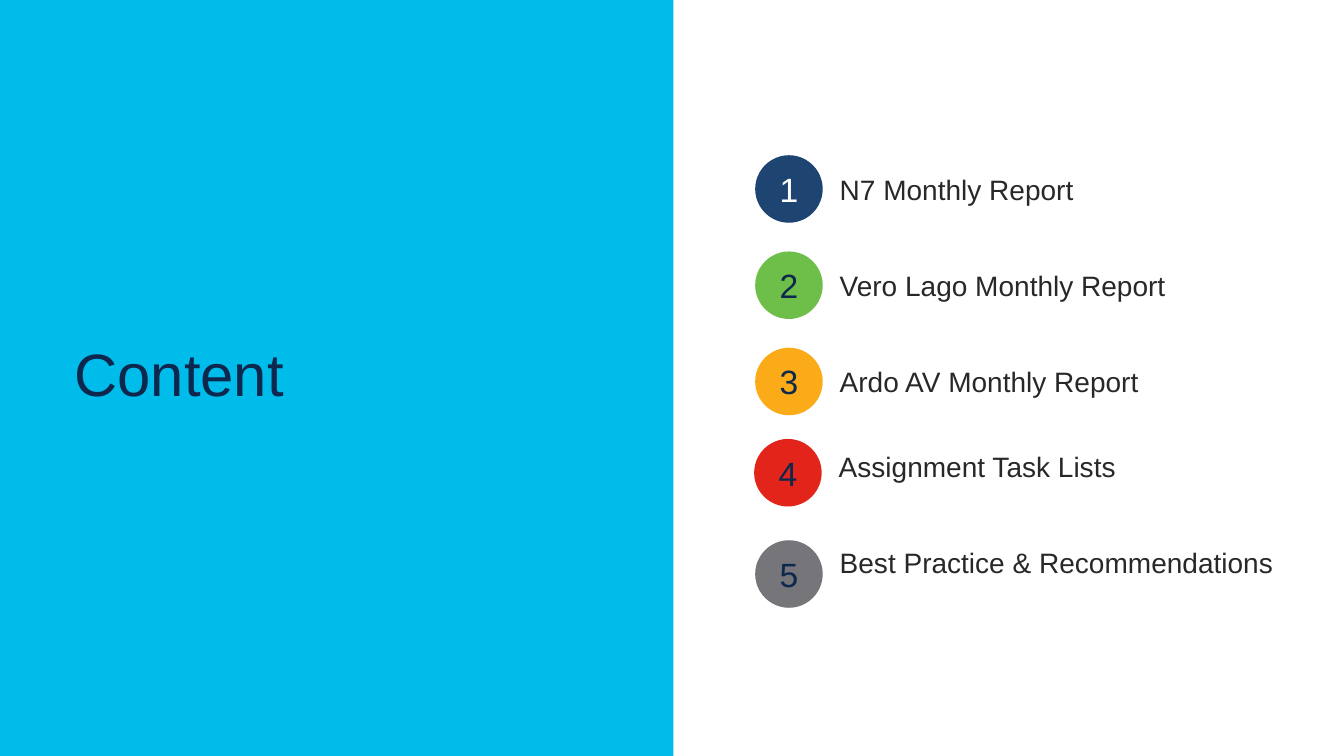
import pptx
import pptx.dml.color
import pptx.enum.shapes
import pptx.enum.text
import pptx.util

THEME = {
    "font": "Arial",
    "panel": "00BCEB",
    "navy": "0D274D",
    "white": "FFFFFF",
    "body": "282828",
    "badges": ["1E4471", "6EBE4A", "FBAB18", "E3241B", "75757A"],
    "title_size": 42.7,
    "number_size": 24,
    "label_size": 20,
}
SHAPES = pptx.enum.shapes.MSO_SHAPE
ALIGN = pptx.enum.text.PP_ALIGN
inches = pptx.util.Inches

presentation = pptx.Presentation()
presentation.slide_width = inches(13.33)
presentation.slide_height = inches(7.5)
slide = presentation.slides.add_slide(presentation.slide_layouts[6])


def add_filled(kind, left, top, width, height, color):
    shape = slide.shapes.add_shape(
        kind, inches(left), inches(top), inches(width), inches(height))
    shape.shadow.inherit = False
    shape.fill.solid()
    shape.fill.fore_color.rgb = pptx.dml.color.RGBColor.from_string(color)
    shape.line.fill.background()
    return shape


def write(shape, text, size, color, align=ALIGN.LEFT):
    frame = shape.text_frame
    frame.word_wrap = True
    frame.vertical_anchor = pptx.enum.text.MSO_ANCHOR.MIDDLE
    paragraph = frame.paragraphs[0]
    paragraph.alignment = align
    run = paragraph.add_run()
    run.text = text
    run.font.name = THEME["font"]
    run.font.size = pptx.util.Pt(size)
    run.font.color.rgb = pptx.dml.color.RGBColor.from_string(color)
    return paragraph


add_filled(SHAPES.RECTANGLE, 0, 0, 6.68, 7.5, THEME["panel"])
title = slide.shapes.add_textbox(inches(0.64), inches(2.42), inches(5.55), inches(2.66))
title_paragraph = write(title, "Content", THEME["title_size"], THEME["navy"])
title_paragraph.line_spacing = 0.85

first_row, row_pitch = 1.54, 0.955
badge_left, badge_size = 7.49, 0.67
label_left, label_height = 8.23, 0.44
centered = (badge_size - label_height) / 2

agenda = [
    ("N7 Monthly Report", 3.87, 0, 0, centered),
    ("Vero Lago Monthly Report", 3.87, 0, 0, centered),
    ("Ardo AV Monthly Report", 3.87, 0, 0, centered),
    ("Assignment Task Lists", 5.02, -0.01, -0.05, 0),
    ("Best Practice & Recommendations", 5.02, 0, 0, 0),
]
for row, (text, label_width, shift, badge_drop, label_drop) in enumerate(agenda):
    top = first_row + row * row_pitch
    badge = add_filled(SHAPES.OVAL, badge_left + shift, top + badge_drop,
                       badge_size, badge_size, THEME["badges"][row])
    number_color = THEME["white"] if row == 0 else THEME["navy"]
    write(badge, str(row + 1), THEME["number_size"], number_color, ALIGN.CENTER)
    label = slide.shapes.add_textbox(
        inches(label_left + shift), inches(top + label_drop),
        inches(label_width), inches(label_height))
    write(label, text, THEME["label_size"], THEME["body"])

presentation.save("out.pptx")
